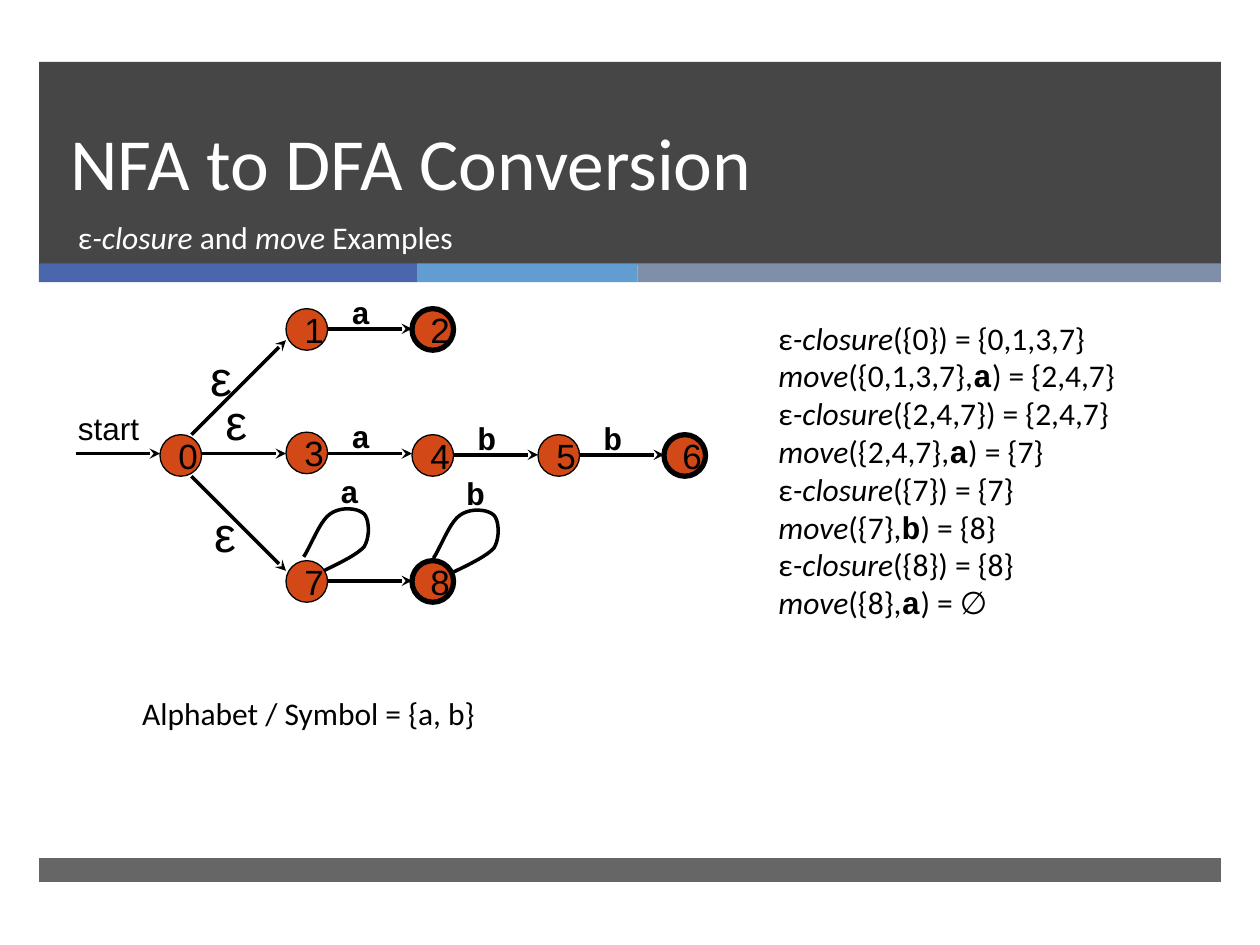
from pptx import Presentation
from pptx.dml.color import RGBColor
from pptx.enum import shapes, text
from pptx.oxml import ns, xmlchemy
from pptx.util import Inches, Pt

COLORS = {
    "band": "262626", "blue": "4A66AC", "sky": "629DD1", "slate": "7F8FA9",
    "state": "D34817", "ink": "000000", "paper": "FFFFFF",
}
STATE_SIZE = 0.33
STATES = [
    ("0", 1, 1, False), ("1", 2, 0, False), ("2", 3, 0, True),
    ("3", 2, 0.98, False), ("4", 3, 1, False), ("5", 4, 1, False),
    ("6", 5, 1, True), ("7", 2, 2, False), ("8", 3, 2, True),
]
STEPS = [(0, 1.15), (1, 1.15), (2, 1.15), (3, 1.16), (4, 1.16), (2, 0.16), (2, 2.16)]
BRANCHES = [((1.25, 1), (2, 0.25)), ((1.25, 1.33), (2, 2.08))]
LETTERS = [
    ("a", 2.42, -0.17), ("a", 2.42, 0.81), ("b", 3.42, 0.83),
    ("b", 4.42, 0.83), ("a", 2.33, 1.25), ("b", 3.33, 1.26),
]
EPSILONS = [(1.33, 1.5), (1.42, 0.61), (1.3, 0.26)]
LOOP = [
    (0.16, 0.51), (0.22, 0.48), (0.42, 0.39), (0.48, 0.32),
    (0.53, 0.24), (0.52, 0.1), (0.48, 0.06),
    (0.43, 0.01), (0.29, 0), (0.21, 0.06),
    (0.13, 0.11), (0.05, 0.33), (0, 0.4),
]
LOOP_PLACES = [(2.14, 1.57), (3.17, 1.58)]
CLOSURES = [
    ("0", "0,1,3,7", "a"), ("2,4,7", "2,4,7", "a"),
    ("7", "7", "b"), ("8", "8", "a"),
]
MOVES = ["{2,4,7}", "{7}", "{8}", "∅"]


def color(name):
    return RGBColor.from_string(COLORS[name])


def style(span, size, font="Calibri", ink="ink", bold=False, italic=False):
    span.font.size = Pt(size)
    span.font.name = font
    span.font.color.rgb = color(ink)
    span.font.bold = bold
    span.font.italic = italic


def add_bar(page, left, top, width, height, fill, opacity=100):
    bar = page.shapes.add_shape(
        shapes.MSO_SHAPE.RECTANGLE, *map(Inches, (left, top, width, height)))
    bar.shadow.inherit = False
    bar.fill.solid()
    bar.fill.fore_color.rgb = color(fill)
    bar.line.fill.background()
    if opacity < 100:
        tint = bar.fill._xPr.find(".//" + ns.qn("a:srgbClr"))
        alpha = xmlchemy.OxmlElement("a:alpha")
        alpha.set("val", str(opacity * 1000))
        tint.append(alpha)


def add_text(page, left, top, width, height, spans, size, ink="ink", grow=True):
    box = page.shapes.add_textbox(*map(Inches, (left, top, width, height)))
    frame = box.text_frame
    frame.word_wrap = True
    if grow:
        frame.auto_size = text.MSO_AUTO_SIZE.SHAPE_TO_FIT_TEXT
    para = frame.paragraphs[0]
    for words, look in spans:
        if words == "\n":
            para.add_line_break()
            continue
        span = para.add_run()
        span.text = words
        style(span, size, ink=ink, **look)
    return box


def add_arrow(page, start, end):
    arrow = page.shapes.add_connector(
        shapes.MSO_CONNECTOR.STRAIGHT, *map(Inches, (*start, *end)))
    arrow.line.color.rgb = color("ink")
    arrow.line.width = Pt(2)
    tail = xmlchemy.OxmlElement("a:tailEnd")
    tail.set("type", "stealth")
    arrow.line._get_or_add_ln().append(tail)
    arrow._element.spPr.append(xmlchemy.OxmlElement("a:effectLst"))


def add_state(page, name, left, top, accepting):
    state = page.shapes.add_shape(
        shapes.MSO_SHAPE.OVAL, *map(Inches, (left, top, STATE_SIZE, STATE_SIZE)))
    state.shadow.inherit = False
    state.fill.solid()
    state.fill.fore_color.rgb = color("state")
    state.line.color.rgb = color("ink")
    state.line.width = Pt(3 if accepting else 0.75)
    frame = state.text_frame
    frame.text = name
    frame.vertical_anchor = text.MSO_ANCHOR.MIDDLE
    para = frame.paragraphs[0]
    para.alignment = text.PP_ALIGN.CENTER
    style(para.runs[0], 20, "Arial")


def curve_points(points, steps=10):
    result = [points[0]]
    for first in range(0, len(points) - 1, 3):
        controls = points[first:first + 4]
        for step in range(1, steps + 1):
            t = step / steps
            weights = ((1 - t) ** 3, 3 * t * (1 - t) ** 2, 3 * t * t * (1 - t), t ** 3)
            result.append(tuple(
                sum(w * c[axis] for w, c in zip(weights, controls)) for axis in (0, 1)))
    return result


def add_loop(page, left, top):
    points = [(Inches(left + x), Inches(top + y)) for x, y in curve_points(LOOP)]
    builder = page.shapes.build_freeform(*points[0])
    builder.add_line_segments(points[1:], close=False)
    loop = builder.convert_to_shape()
    loop.shadow.inherit = False
    loop.fill.background()
    loop.line.color.rgb = color("ink")
    loop.line.width = Pt(2)


def add_header(page, left, top, width):
    add_bar(page, left, top, width, 1.61, "band", 85)
    start = left
    for part, fill in ((3, "blue"), (1.75, "sky"), (4.63, "slate")):
        add_bar(page, start, top + 1.6, part, 0.15, fill)
        start += part
    title = add_text(page, left + 0.15, top, 8.54, 1.19,
                     [("NFA to DFA Conversion", {})], 42, "paper", grow=False)
    title.text_frame.vertical_anchor = text.MSO_ANCHOR.BOTTOM
    title.text_frame.paragraphs[0].line_spacing = 1.1
    subtitle = [("ε", {}), ("-closure", {"italic": True}), (" and ", {}),
                ("move", {"italic": True}), (" Examples", {})]
    add_text(page, left + 0.21, top + 1.19, 8.48, 0.53, subtitle, 18, "paper", grow=False)


def add_automaton(page, left, top):
    for name, x, y, accepting in STATES:
        add_state(page, name, left + x, top + y, accepting)
    steps = [((x + STATE_SIZE, y), (x + 1, y)) for x, y in STEPS]
    for start, end in steps + BRANCHES:
        add_arrow(page, (left + start[0], top + start[1]), (left + end[0], top + end[1]))
    for x, y in LOOP_PLACES:
        add_loop(page, left + x, top + y)
    for letter, x, y in LETTERS:
        add_text(page, left + x, top + y, 0.35, 0.4,
                 [(letter, {"font": "Courier New", "bold": True})], 18)
    for x, y in EPSILONS:
        add_text(page, left + x, top + y, 0.39, 0.57, [("ε", {"font": "Arial"})], 28)
    add_text(page, left + 0.25, top + 0.75, 0.7, 0.4, [("start", {"font": "Arial"})], 18)


def add_examples(page, left, top, width, height):
    spans = []
    for (source, closure, letter), target in zip(CLOSURES, MOVES):
        spans += [
            ("ε", {}), ("-closure", {"italic": True}),
            (f"({{{source}}}) = {{{closure}}}", {}), ("\n", {}),
            ("move", {"italic": True}), (f"({{{closure}}},", {}),
            (letter, {"font": "Courier New", "bold": True}),
            (f") = {target}", {}), ("\n", {}),
        ]
    add_text(page, left, top, width, height, spans[:-1], 18)


def main():
    deck = Presentation()
    deck.slide_width = Inches(10)
    deck.slide_height = Inches(7.5)
    page = deck.slides.add_slide(deck.slide_layouts[6])
    add_header(page, 0.31, 0.49, 9.38)
    add_bar(page, 0.31, 6.81, 9.38, 0.19, "band", 70)
    add_automaton(page, 0.27, 2.45)
    add_examples(page, 6.08, 2.48, 3.16, 2.52)
    add_text(page, 1.03, 5.46, 3.84, 0.4, [("Alphabet / Symbol = {a, b}", {})], 18)
    deck.save("out.pptx")


if __name__ == "__main__":
    main()
